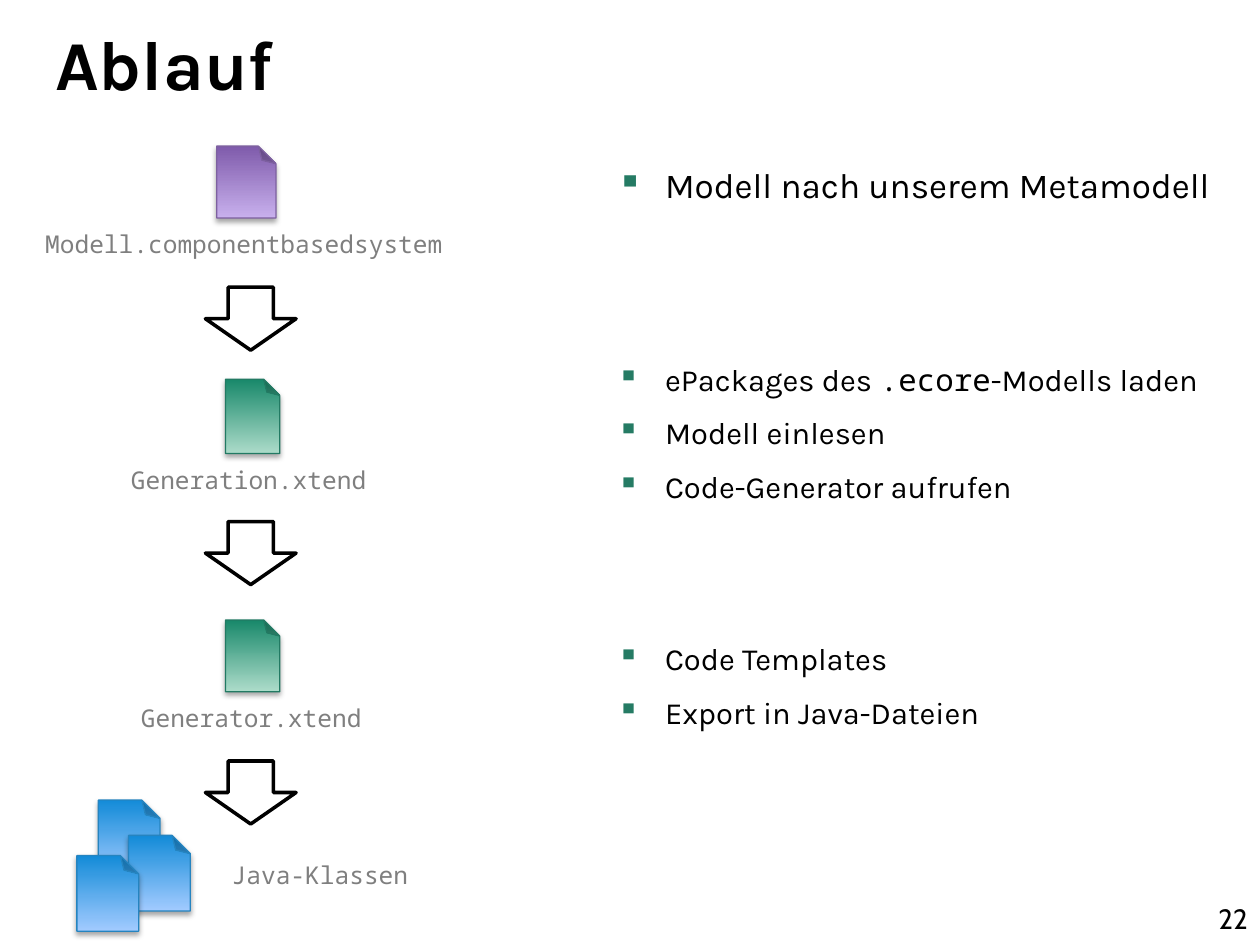
from lxml import etree
from pptx import Presentation
from pptx import util as u
from pptx.dml.color import RGBColor
from pptx.enum import shapes, text
from pptx.oxml import ns

BLACK = RGBColor(0x00, 0x00, 0x00)
WHITE = RGBColor(0xFF, 0xFF, 0xFF)
GREY = RGBColor(0x7F, 0x7F, 0x7F)
BULLET = RGBColor(0x25, 0x7B, 0x64)

# Gradient start, gradient end, outline
PURPLE = RGBColor(0x7F, 0x5B, 0xAB), RGBColor(0xC8, 0xB0, 0xED), RGBColor(0x7D, 0x60, 0xA0)
GREEN = RGBColor(0x18, 0x88, 0x6A), RGBColor(0xAD, 0xDC, 0xCA), RGBColor(0x22, 0x7A, 0x63)
BLUE = RGBColor(0x13, 0x8B, 0xD8), RGBColor(0xA2, 0xCB, 0xFF), RGBColor(0x25, 0x84, 0xC0)

SANS, MONO, NUMBER = "Karla", "Noto Sans Mono", "Cabin"


def sub(parent, tag, **attributes):
    return etree.SubElement(parent, ns.qn(tag), {k: str(v) for k, v in attributes.items()})


def write(para, words, font=SANS, size=17.6, color=BLACK, bold=False):
    span = para.add_run()
    span.text = words
    span.font.name = font
    span.font.size = u.Pt(size)
    span.font.color.rgb = color
    span.font.bold = bold


class Slide:
    def __init__(self, page):
        self.page = page

    def group(self):
        return self.page.shapes.add_group_shape().shapes

    def text_box(self, place, wrap=True, parent=None):
        box = (parent or self.page.shapes).add_textbox(*map(u.Inches, place))
        box.text_frame.word_wrap = wrap
        return box.text_frame

    def label(self, parent, words, place):
        frame = self.text_box(place, wrap=False, parent=parent)
        frame.auto_size = text.MSO_AUTO_SIZE.SHAPE_TO_FIT_TEXT
        write(frame.paragraphs[0], words, font=MONO, size=14, color=GREY)

    def file_icon(self, parent, place, colors):
        icon = parent.add_shape(shapes.MSO_SHAPE.FOLDED_CORNER, *map(u.Inches, place))
        icon.rotation = 180
        properties = icon._element.spPr
        properties.find(ns.qn("a:xfrm")).set("flipH", "1")
        # The library lists no adjustment for this preset
        guides = properties.find(ns.qn("a:prstGeom")).get_or_add_avLst()
        sub(guides, "a:gd", name="adj", fmla="val 29500")
        icon.fill.gradient()
        icon.fill.gradient_angle = 90
        for stop, color, position in zip(icon.fill.gradient_stops, colors, (0, 1)):
            stop.color.rgb = color
            stop.position = position
        icon.line.color.rgb = colors[2]
        icon.line.width = u.Pt(0.75)
        # Soft shadow straight below
        icon.shadow.inherit = False
        shadow = sub(properties.find(ns.qn("a:effectLst")), "a:outerShdw",
                     blurRad=u.Pt(3.1), dist=u.Pt(1.8), dir=90 * 60000, rotWithShape=0)
        sub(sub(shadow, "a:srgbClr", val=BLACK), "a:alpha", val=35000)

    def arrow(self, top):
        arrow = self.page.shapes.add_shape(
            shapes.MSO_SHAPE.DOWN_ARROW, *map(u.Inches, (1.63, top, 0.72, 0.5)))
        arrow.shadow.inherit = False
        arrow.fill.solid()
        arrow.fill.fore_color.rgb = WHITE
        arrow.line.color.rgb = BLACK
        arrow.line.width = u.Pt(2)

    def bullets(self, top, height, items, size=17.6):
        """Each item is a list of (words, font) pairs."""
        frame = self.text_box((4.8, top, 4.95, height))
        for index, item in enumerate(items):
            para = frame.add_paragraph() if index else frame.paragraphs[0]
            para.space_before = u.Pt(0.2 * size if index else 0)
            para.space_after = u.Pt(6)
            properties = para._p.get_or_add_pPr()
            properties.set("marL", str(u.Inches(0.38)))
            properties.set("indent", str(u.Inches(-0.38)))
            sub(sub(properties, "a:buClr"), "a:srgbClr", val=BULLET)
            sub(properties, "a:buChar", char="▪")
            for words, font in item:
                write(para, words, font=font, size=size)


def main():
    deck = Presentation()
    deck.slide_width, deck.slide_height = u.Inches(10), u.Inches(7.5)
    slide = Slide(deck.slides.add_slide(deck.slide_layouts[6]))

    # Title and page number
    title = slide.text_box((0.34, 0.11, 9.16, 1.52))
    write(title.paragraphs[0], "Ablauf", size=40, bold=True)
    number = slide.text_box((8.92, 7.09, 1.08, 0.4))
    number.vertical_anchor = text.MSO_ANCHOR.MIDDLE
    number.paragraphs[0].alignment = text.PP_ALIGN.RIGHT
    write(number.paragraphs[0], "22", font=NUMBER, size=16)

    # Steps: one file each, followed by an arrow
    steps = [
        ("Modell.componentbasedsystem", (0.26, 1.77, 3.38, 0.34),
         (1.72, 1.16, 0.47, 0.57), PURPLE, 2.28),
        ("Generation.xtend", (0.94, 3.64, 2.09, 0.34),
         (1.79, 3.01, 0.43, 0.59), GREEN, 4.14),
        ("Generator.xtend", (1.02, 5.53, 1.97, 0.34),
         (1.79, 4.92, 0.43, 0.57), GREEN, 6.04),
    ]
    for name, label_place, icon_place, colors, arrow_top in steps:
        group = slide.group()
        slide.file_icon(group, icon_place, colors)
        slide.label(group, name, label_place)
        slide.arrow(arrow_top)

    # Result: a pile of classes
    group = slide.group()
    for left, top in ((0.78, 6.35), (1.02, 6.63), (0.61, 6.79)):
        slide.file_icon(group, (left, top, 0.49, 0.6), BLUE)
    slide.label(group, "Java-Klassen", (1.74, 6.78, 1.62, 0.34))

    # Explanations
    slide.bullets(1.25, 0.73, [[("Modell nach unserem Metamodell", SANS)]], size=20)
    slide.bullets(2.81, 1.52, [
        [("ePackages des ", SANS), (".ecore", MONO), ("-Modells laden", SANS)],
        [("Modell einlesen", SANS)],
        [("Code-Generator aufrufen", SANS)],
    ])
    slide.bullets(5.03, 0.91, [
        [("Code Templates", SANS)],
        [("Export in Java-Dateien", SANS)],
    ])

    deck.save("out.pptx")


if __name__ == "__main__":
    main()
